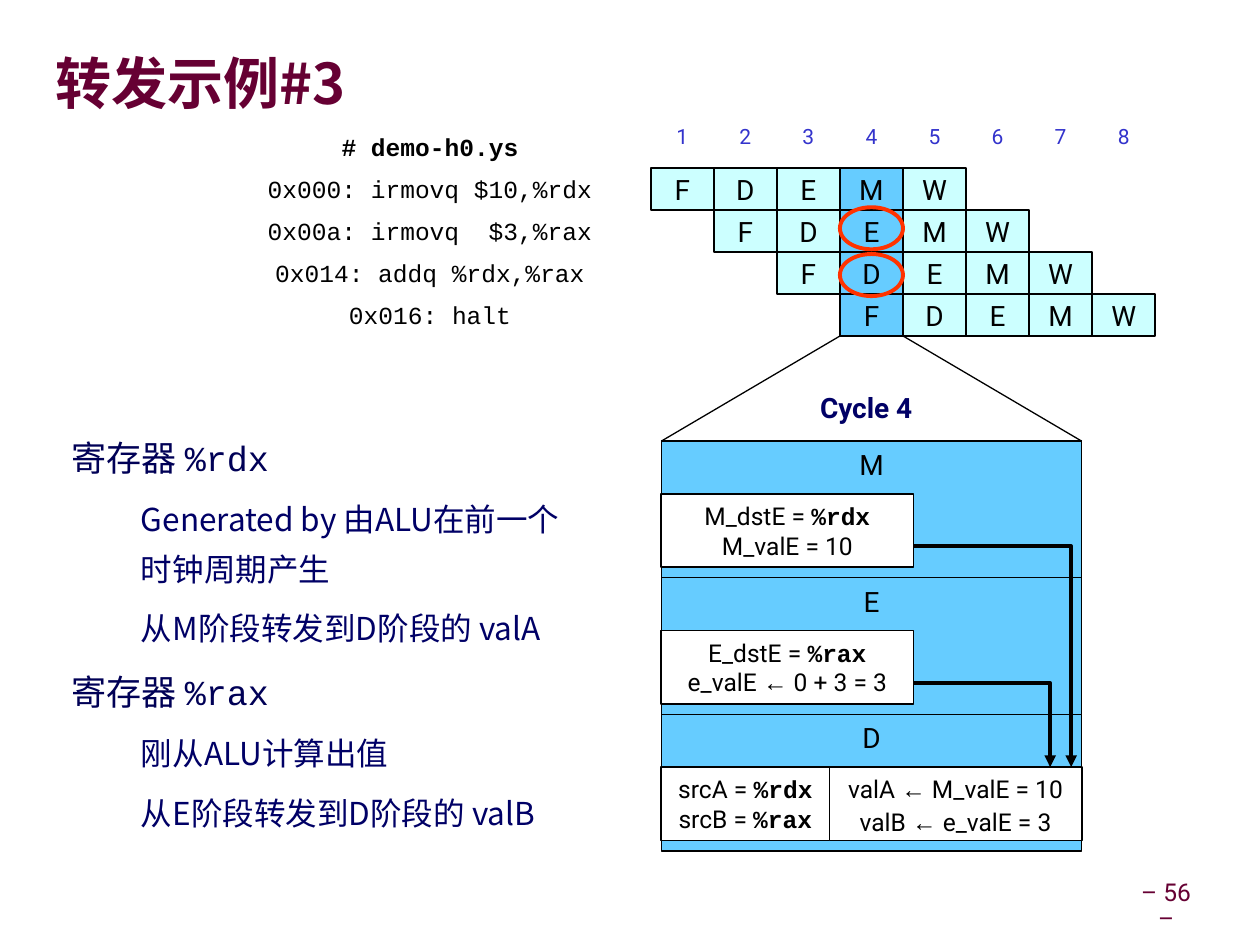
from dataclasses import dataclass
from typing import Optional

from lxml.etree import SubElement
from pptx import Presentation
from pptx.dml.color import RGBColor
from pptx.enum.shapes import MSO_CONNECTOR as Connector, MSO_SHAPE as Preset
from pptx.enum.text import MSO_ANCHOR as Anchor, PP_ALIGN as Align
from pptx.oxml.ns import qn
from pptx.util import Inches, Length, Pt

BLACK = RGBColor(0x00, 0x00, 0x00)
WHITE = RGBColor(0xFF, 0xFF, 0xFF)
MAROON = RGBColor(0x66, 0x00, 0x33)
HEADING_NAVY = RGBColor(0x00, 0x00, 0x56)
NAVY = RGBColor(0x00, 0x00, 0x66)
CYCLE_BLUE = RGBColor(0x33, 0x33, 0xCC)
PALE_CYAN = RGBColor(0xCC, 0xFF, 0xFF)
SKY = RGBColor(0x66, 0xCC, 0xFF)
RED = RGBColor(0xFF, 0x33, 0x00)

SANS, MONO, ARIAL, CJK = "Roboto", "Courier New", "Arial", "Noto Sans CJK SC"

WIDTH, HEIGHT = Inches(9.99), Inches(7.49)
GRID_LEFT, GRID_TOP = Inches(5.16), Inches(1.33)
UNIT = Inches(1) / 12
COLUMN, ROW = 6, 4
PANEL_LEFT, PANEL_TOP, PANEL_WIDTH, PANEL_HEIGHT = 1, 26, 40, 13
CODE_LEFT, CODE_WIDTH = -38, 34
FOCUS = 3


@dataclass
class Area:
    left: Length
    top: Length
    width: Length
    height: Length


@dataclass
class Span:
    text: str
    face: Optional[str] = None
    bold: Optional[bool] = None


@dataclass
class Para:
    spans: list[Span]
    size: float
    color: RGBColor = BLACK
    face: str = SANS
    bold: bool = False
    align: Align = Align.CENTER
    spacing: float = 1.0
    before: float = 0
    indent: float = 0


@dataclass
class Note:
    left: int
    top: int
    width: int
    lines: list[list[Span]]
    spacing: float = 1.0


def grid(left: float, top: float, width: float, height: float) -> Area:
    return Area(Length(GRID_LEFT + left * UNIT), Length(GRID_TOP + top * UNIT),
                Length(width * UNIT), Length(height * UNIT))


def share(left: float, top: float, width: float, height: float) -> Area:
    return Area(Length(WIDTH * left), Length(HEIGHT * top),
                Length(WIDTH * width), Length(HEIGHT * height))


def set_face(font, face: str) -> None:
    font.name = face
    latin = font._element.find(qn("a:latin")) if hasattr(font, "_element") else font._rPr.find(qn("a:latin"))
    east_asian = latin.makeelement(qn("a:ea"), {"typeface": face})
    latin.addnext(east_asian)


def write(frame, paras: list[Para], anchor: Anchor, wrap: bool, inset: Optional[float] = None) -> None:
    frame.word_wrap = wrap
    frame.vertical_anchor = anchor
    if inset is not None:
        frame.margin_left = frame.margin_right = Inches(inset)
        frame.margin_top = frame.margin_bottom = Inches(inset)
    for index, para in enumerate(paras):
        paragraph = frame.add_paragraph() if index else frame.paragraphs[0]
        paragraph.alignment = para.align
        paragraph.line_spacing = para.spacing
        if index and para.before:
            paragraph.space_before = Pt(para.before)
        if para.indent:
            paragraph.level = 1
            properties = paragraph._p.get_or_add_pPr()
            properties.set("marL", str(Inches(para.indent)))
            properties.set("indent", "0")
        font = paragraph.font
        font.size, font.bold = Pt(para.size), para.bold
        font.color.rgb = para.color
        set_face(font, para.face)
        for span in para.spans:
            run = paragraph.add_run()
            run.text = span.text
            if span.face:
                set_face(run.font, span.face)
            if span.bold is not None:
                run.font.bold = span.bold


def add_text(page, area: Area, paras: list[Para], anchor: Anchor = Anchor.TOP,
             inset: Optional[float] = None) -> None:
    box = page.shapes.add_textbox(area.left, area.top, area.width, area.height)
    write(box.text_frame, paras, anchor, True, inset)


def add_box(page, area: Area, paras: list[Para], fill: Optional[RGBColor] = WHITE,
            line: float = 0, color: RGBColor = BLACK, anchor: Anchor = Anchor.MIDDLE,
            preset: Preset = Preset.RECTANGLE) -> None:
    box = page.shapes.add_shape(preset, area.left, area.top, area.width, area.height)
    box.shadow.inherit = False
    if fill is None:
        box.fill.background()
    else:
        box.fill.solid()
        box.fill.fore_color.rgb = fill
    if line:
        box.line.color.rgb = color
        box.line.width = Pt(line)
    else:
        box.line.fill.background()
    if paras:
        write(box.text_frame, paras, anchor, False)


def add_line(page, start: tuple[float, float], end: tuple[float, float]) -> None:
    first, last = grid(*start, 0, 0), grid(*end, 0, 0)
    line = page.shapes.add_connector(Connector.STRAIGHT, first.left, first.top, last.left, last.top)
    line.line.color.rgb = BLACK
    line.line.width = Pt(0.75)
    SubElement(line._element.spPr, qn("a:effectLst"))


def add_forward_arrow(page, top: int, turn: int) -> None:
    start, corner, end = [grid(PANEL_LEFT + x, PANEL_TOP + y, 0, 0)
                          for x, y in ((24, top), (turn, top), (turn, 31))]
    builder = page.shapes.build_freeform(start.left, start.top)
    builder.add_line_segments([(point.left, point.top) for point in (corner, end)], close=False)
    arrow = builder.convert_to_shape()
    arrow.shadow.inherit = False
    arrow.fill.background()
    arrow.line.color.rgb = BLACK
    arrow.line.width = Pt(2.25)
    SubElement(arrow.line._get_or_add_ln(), qn("a:tailEnd"), type="triangle")


def heading(register: str) -> Para:
    return Para([Span("寄存器 "), Span(register, MONO)], 20, HEADING_NAVY, CJK,
                align=Align.LEFT, spacing=1.3, before=6)


def detail(text: str) -> Para:
    return Para([Span(text)], 18, NAVY, CJK, align=Align.LEFT, spacing=1.3, before=6, indent=0.55)


CODE = ["# demo-h0.ys", "0x000: irmovq $10,%rdx", "0x00a: irmovq  $3,%rax",
        "0x014: addq %rdx,%rax", "0x016: halt"]
BODY = [heading("%rdx"), detail("Generated by 由ALU在前一个时钟周期产生"), detail("从M阶段转发到D阶段的 valA"),
        heading("%rax"), detail("刚从ALU计算出值"), detail("从E阶段转发到D阶段的 valB")]
RDX, RAX, ASSIGN = Span("%rdx", MONO, True), Span("%rax", MONO, True), Span("←", ARIAL)
NOTES = [
    Note(0, 5, 24, [[Span("M_dstE = "), RDX], [Span("M_valE = 10")]]),
    Note(0, 18, 24, [[Span("E_dstE = "), RAX], [Span("e_valE "), ASSIGN, Span(" 0 + 3 = 3")]]),
    Note(0, 31, 16, [[Span("srcA = "), RDX], [Span("srcB = "), RAX]]),
    Note(16, 31, 24, [[Span("valA "), ASSIGN, Span(" M_valE = 10")],
                      [Span("valB "), ASSIGN, Span(" e_valE = 3")]], 1.1),
]


def draw_pipeline(page) -> None:
    for row, code in enumerate(CODE):
        para = Para([Span(code)], 14, face=MONO, bold=row == 0)
        add_box(page, grid(CODE_LEFT, (row - 1) * ROW, CODE_WIDTH, ROW), [para])
    for cycle in range(8):
        add_box(page, grid(cycle * COLUMN, -5, COLUMN, ROW), [Para([Span(str(cycle + 1))], 12, CYCLE_BLUE)])
    for row in range(4):
        for column, stage in enumerate("FDEMW", row):
            add_box(page, grid(column * COLUMN, row * ROW, COLUMN, ROW), [Para([Span(stage)], 16)],
                    SKY if column == FOCUS else PALE_CYAN, 1)
    for top in (3.75, 8.2):
        add_box(page, grid(FOCUS * COLUMN, top, COLUMN, ROW), [], None, 2.25, RED, preset=Preset.OVAL)


def draw_cycle(page) -> None:
    add_line(page, (FOCUS * COLUMN, 4 * ROW), (PANEL_LEFT, PANEL_TOP))
    add_line(page, ((FOCUS + 1) * COLUMN, 4 * ROW), (PANEL_LEFT + PANEL_WIDTH, PANEL_TOP))
    add_text(page, grid(8, 21, 25, 4.4), [Para([Span("Cycle 4")], 16, NAVY, bold=True, spacing=0.9)])
    for index, stage in enumerate("MED"):
        area = grid(PANEL_LEFT, PANEL_TOP + index * PANEL_HEIGHT, PANEL_WIDTH, PANEL_HEIGHT)
        add_box(page, area, [Para([Span(stage)], 16)], SKY, 0.75, anchor=Anchor.TOP)
    for note in NOTES:
        area = grid(PANEL_LEFT + note.left, PANEL_TOP + note.top, note.width, 7)
        add_box(page, area, [Para(line, 14, spacing=note.spacing) for line in note.lines], line=1)
    add_forward_arrow(page, 10, 39)
    add_forward_arrow(page, 23, 37)


def main() -> None:
    deck = Presentation()
    deck.slide_width, deck.slide_height = WIDTH, HEIGHT
    page = deck.slides.add_slide(deck.slide_layouts[6])
    title = Para([Span("转发示例#3")], 32, MAROON, CJK, True, Align.LEFT, 0.87)
    add_text(page, share(0.044, 0.036, 0.923, 0.113), [title], Anchor.MIDDLE, 0)
    add_text(page, share(0.047, 0.442, 0.41, 0.483), BODY)
    draw_pipeline(page)
    draw_cycle(page)
    number = Para([Span("– 56 –")], 14, MAROON, spacing=0.9)
    add_text(page, share(0.898, 0.939, 0.055, 0.041), [number], Anchor.MIDDLE, 0.05)
    deck.save("out.pptx")


if __name__ == "__main__":
    main()
